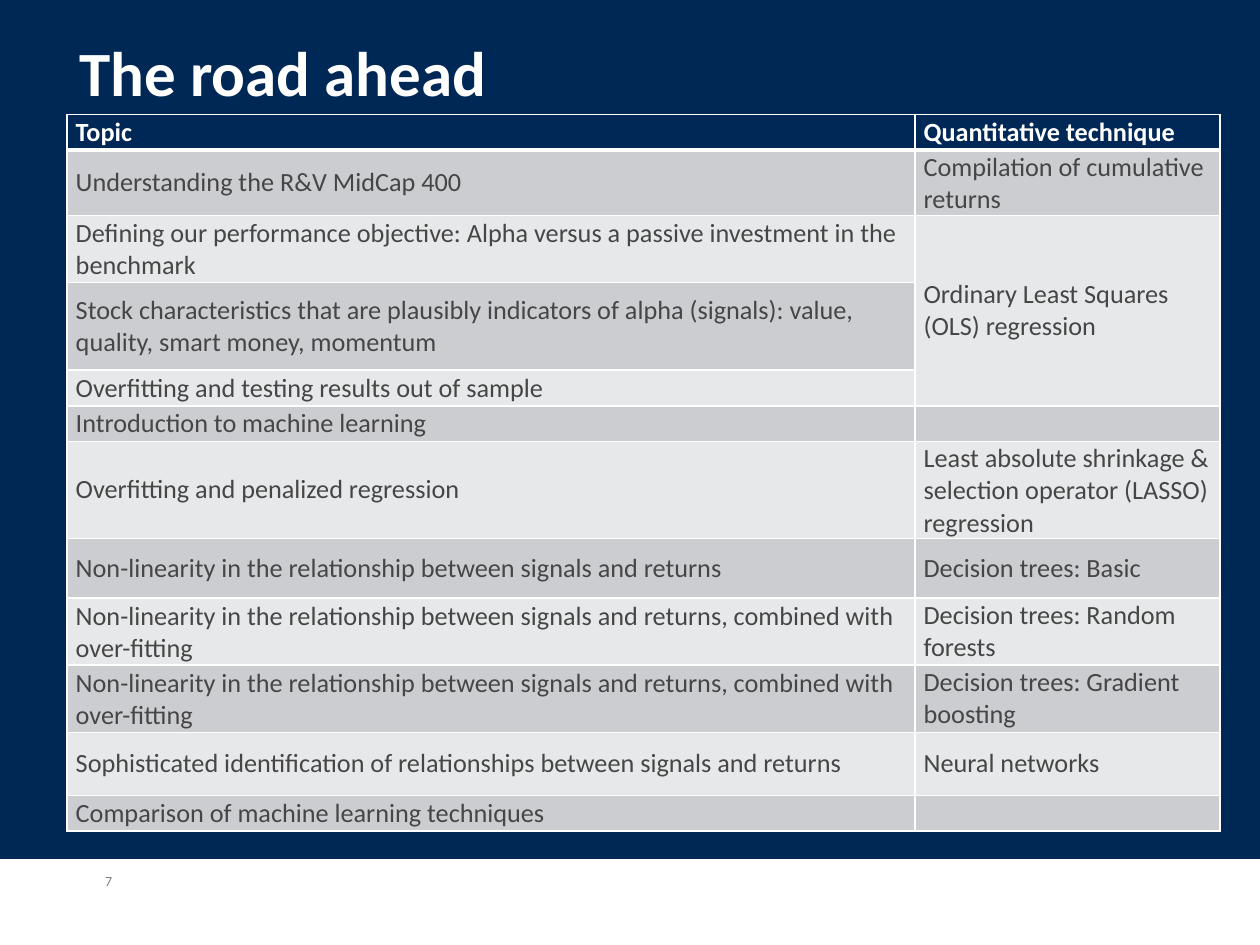
from lxml.etree import SubElement as Sub
from pptx import Presentation
from pptx.dml.color import RGBColor as RGB
from pptx.enum.dml import MSO_PATTERN as Pattern
from pptx.enum.shapes import MSO_SHAPE as Shape
from pptx.enum.text import MSO_ANCHOR as Anchor
from pptx.oxml.ns import qn
from pptx.util import Pt

COLORS = {
    "navy": "002856", "stripe": "002850", "white": "FFFFFF",
    "text": "464646", "gray": "808080", "dark": "CCCDD1", "light": "E7E8E9",
}
FONT = "Calibri"
SIZE = 15
COLS = [484.5, 174.3]
MIXED = ("Non-linearity in the relationship between signals and returns, "
         "combined with over-fitting")
# Row height, topic, technique
ROWS = [
    (19.5, "Topic", "Quantitative technique"),
    (35.3, "Understanding the R&V MidCap 400",
     "Compilation of cumulative returns"),
    (36, "Defining our performance objective: Alpha versus a passive "
     "investment in the benchmark", "Ordinary Least Squares (OLS) regression"),
    (50, "Stock characteristics that are plausibly indicators of alpha "
     "(signals): value, quality, smart money, momentum", ""),
    (19.5, "Overfitting and testing results out of sample", ""),
    (19.5, "Introduction to machine learning", ""),
    (52, "Overfitting and penalized regression",
     "Least absolute shrinkage & selection operator (LASSO) regression"),
    (34, "Non-linearity in the relationship between signals and returns",
     "Decision trees: Basic"),
    (36, MIXED, "Decision trees: Random forests"),
    (36, MIXED, "Decision trees: Gradient boosting"),
    (36, "Sophisticated identification of relationships between signals "
     "and returns", "Neural networks"),
    (19.5, "Comparison of machine learning techniques", ""),
]
MERGE = (2, 4)  # first and last row sharing one technique


def color(name):
    return RGB.from_string(COLORS[name])


def style(para, size, name, bold=False):
    for run in para.runs:
        font = run.font
        font.name, font.size, font.bold = FONT, Pt(size), bold
        font.color.rgb = color(name)


def add_text(slide, box, text, size, name, bold=False):
    frame = slide.shapes.add_textbox(*map(Pt, box)).text_frame
    frame.word_wrap = True
    frame.vertical_anchor = Anchor.BOTTOM
    frame.text = text
    para = frame.paragraphs[0]
    style(para, size, name, bold)
    return para


def add_band(slide):
    band = slide.shapes.add_shape(Shape.RECTANGLE, 0, Pt(491), Pt(720), Pt(49))
    band.shadow.inherit = False
    band.fill.solid()
    band.fill.fore_color.rgb = color("white")
    band.line.fill.background()


def add_edges(cell, top, base):
    """Draw white borders; top and base are widths in points."""
    props = cell._tc.get_or_add_tcPr()
    for tag, width in (("lnL", 1), ("lnR", 1), ("lnT", top), ("lnB", base)):
        line = Sub(props, qn("a:" + tag), w=str(Pt(width)))
        fill = Sub(line, qn("a:solidFill"))
        Sub(fill, qn("a:srgbClr"), val=COLORS["white"])


def set_cell(cell, text, row, col):
    head = row == 0
    add_edges(cell, 3 if row == 1 else 1, 3 if head else 1)
    cell.fill.solid()
    band = "navy" if head else "dark" if row % 2 else "light"
    cell.fill.fore_color.rgb = color(band)
    cell.vertical_anchor = Anchor.MIDDLE
    cell.margin_left = cell.margin_right = Pt(5)
    cell.margin_top = cell.margin_bottom = Pt(0.7 if col else 1.2)
    para = cell.text_frame.paragraphs[0]
    if text:
        para.text = text
        style(para, SIZE, "white" if head else "text", head)
    else:
        # An empty cell needs its own text size to keep the row low
        Sub(para._p, qn("a:endParaRPr"), sz=str(SIZE * 100))


def add_grid(slide):
    high = sum(row[0] for row in ROWS)
    frame = slide.shapes.add_table(len(ROWS), len(COLS), Pt(38.3), Pt(65.3),
                                   Pt(sum(COLS)), Pt(high))
    table = frame.table
    for col, width in zip(table.columns, COLS):
        col.width = Pt(width)
    for r, (height, *texts) in enumerate(ROWS):
        table.rows[r].height = Pt(height)
        for c, text in enumerate(texts):
            set_cell(table.cell(r, c), text, r, c)
    first, last = MERGE
    table.cell(first, 1).merge(table.cell(last, 1))


def main():
    deck = Presentation()
    deck.slide_width, deck.slide_height = Pt(720), Pt(540)
    slide = deck.slides.add_slide(deck.slide_layouts[6])
    back = slide.background.fill
    back.patterned()
    back.pattern = Pattern.WIDE_UPWARD_DIAGONAL
    back.fore_color.rgb = color("stripe")
    back.back_color.rgb = color("navy")
    add_band(slide)
    title = add_text(slide, (38.3, 19.5, 638, 46), "The road ahead",
                     36, "white", True)
    title.line_spacing = 0.8
    add_text(slide, (53, 486.7, 26, 25), "7", 8, "gray")
    add_grid(slide)
    deck.save("out.pptx")


if __name__ == "__main__":
    main()
